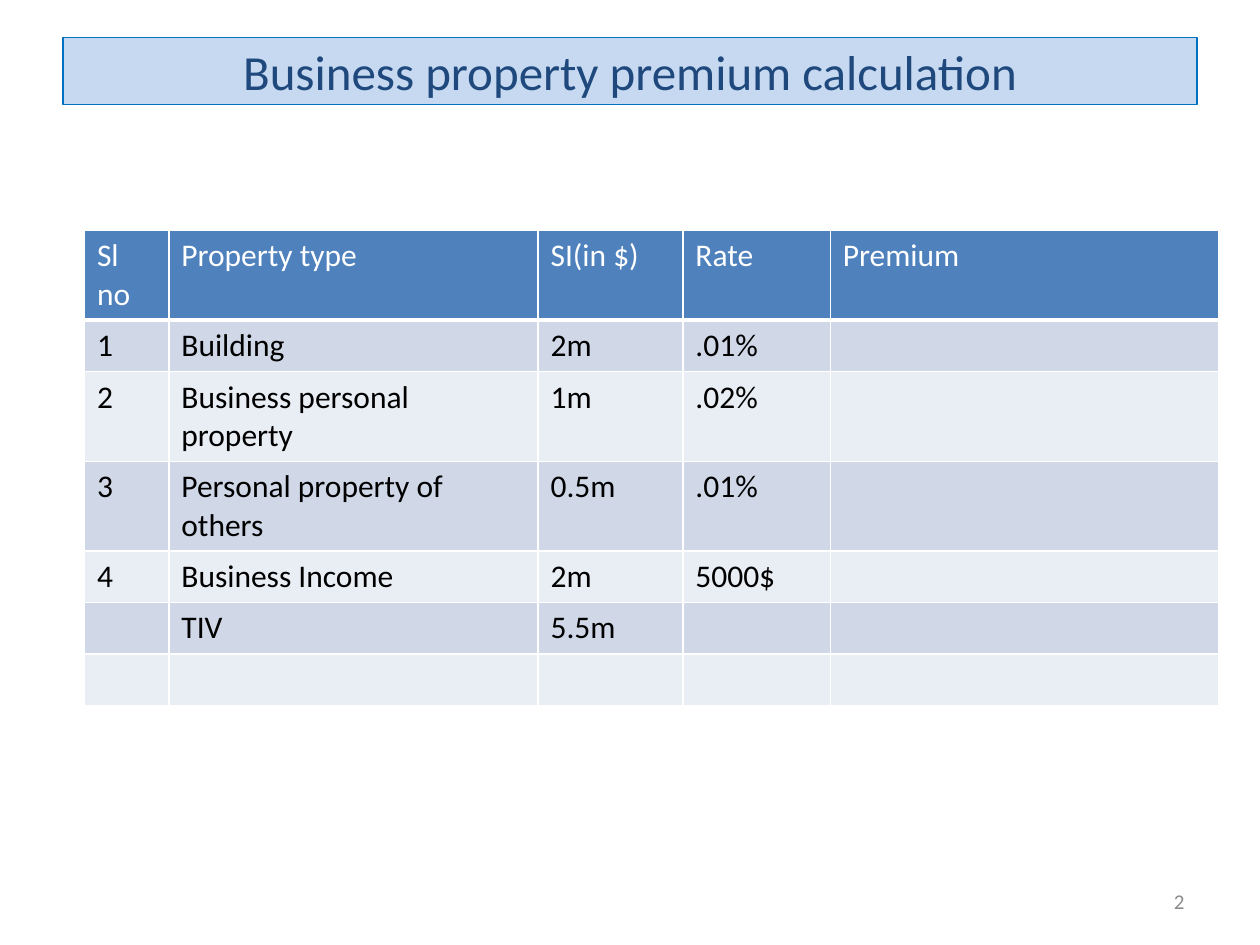
from lxml.etree import SubElement
from pptx import Presentation
from pptx.dml.color import RGBColor
from pptx.enum.shapes import MSO_SHAPE as SHAPE
from pptx.enum.text import MSO_ANCHOR as ANCHOR, PP_ALIGN as ALIGN
from pptx.oxml.ns import qn
from pptx.util import Inches, Pt

COLORS = {
    "title_fill": "C6D9F1", "title_line": "0070C0", "title": "1F497D",
    "header": "4F81BD", "band_dark": "D0D8E8", "band_light": "E9EDF4",
    "white": "FFFFFF", "black": "000000", "gray": "8C8C8C",
}
FONT = "Calibri"


def rgb(name):
    return RGBColor.from_string(COLORS[name])


def write(tf, text, size=18, color="black", align=ALIGN.LEFT):
    tf.word_wrap = True
    p = tf.paragraphs[0]
    p.alignment = align
    if text:
        r = p.add_run()
        r.text = text
        r.font.name, r.font.size, r.font.bold = FONT, Pt(size), False
        r.font.color.rgb = rgb(color)


def border(cell, side, width):
    ln = SubElement(cell._tc.get_or_add_tcPr(), qn("a:" + side), w=str(Pt(width)))
    fill = SubElement(ln, qn("a:solidFill"))
    SubElement(fill, qn("a:srgbClr"), val=COLORS["white"])


class SlideBuilder:
    def __init__(self, slide):
        self.s = slide

    def title(self, text, box):
        sp = self.s.shapes.add_shape(SHAPE.RECTANGLE, *map(Inches, box))
        sp.shadow.inherit = False
        sp.fill.solid()
        sp.fill.fore_color.rgb = rgb("title_fill")
        sp.line.color.rgb = rgb("title_line")
        sp.line.width = Pt(0.75)
        sp.text_frame.vertical_anchor = ANCHOR.MIDDLE
        write(sp.text_frame, text, size=28, color="title", align=ALIGN.CENTER)

    def text(self, text, box, **fmt):
        tf = self.s.shapes.add_textbox(*map(Inches, box)).text_frame
        tf.vertical_anchor = ANCHOR.MIDDLE
        write(tf, text, **fmt)

    def table(self, rows, left, top, widths, row_height):
        size = (sum(widths), row_height * len(rows))
        frame = self.s.shapes.add_table(
            len(rows), len(widths), *map(Inches, (left, top, *size)))
        table = frame.table
        for col, width in zip(table.columns, widths):
            col.width = Inches(width)
        for i, values in enumerate(rows):
            table.rows[i].height = Inches(row_height)
            band = "header" if i == 0 else ("band_light", "band_dark")[i % 2]
            for j, value in enumerate(values):
                cell = table.cell(i, j)
                for side in ("lnL", "lnR", "lnT", "lnB"):
                    border(cell, side, 3 if i == 0 and side == "lnB" else 1)
                cell.fill.solid()
                cell.fill.fore_color.rgb = rgb(band)
                write(cell.text_frame, value, color="black" if i else "white")


ROWS = [
    ("Sl no", "Property type", "SI(in $)", "Rate ", "Premium"),
    ("1", "Building", "2m", ".01%", ""),
    ("2", "Business personal property", "1m", ".02%", ""),
    ("3 ", "Personal property of others", "0.5m", ".01%", ""),
    ("4", "Business Income", "2m", "5000$", ""),
    ("", "TIV", "5.5m", "", ""),
    ("", "", "", "", ""),
]

prs = Presentation()
prs.slide_width, prs.slide_height = Inches(10), Inches(7.5)
builder = SlideBuilder(prs.slides.add_slide(prs.slide_layouts[6]))
builder.title("Business property premium calculation", (0.5, 0.3, 9, 0.53))
builder.table(ROWS, 0.67, 1.83, (0.67, 2.93, 1.15, 1.17, 3.08), 0.41)
builder.text("2", (7.17, 6.95, 2.33, 0.4), size=12, color="gray", align=ALIGN.RIGHT)
prs.save("out.pptx")
